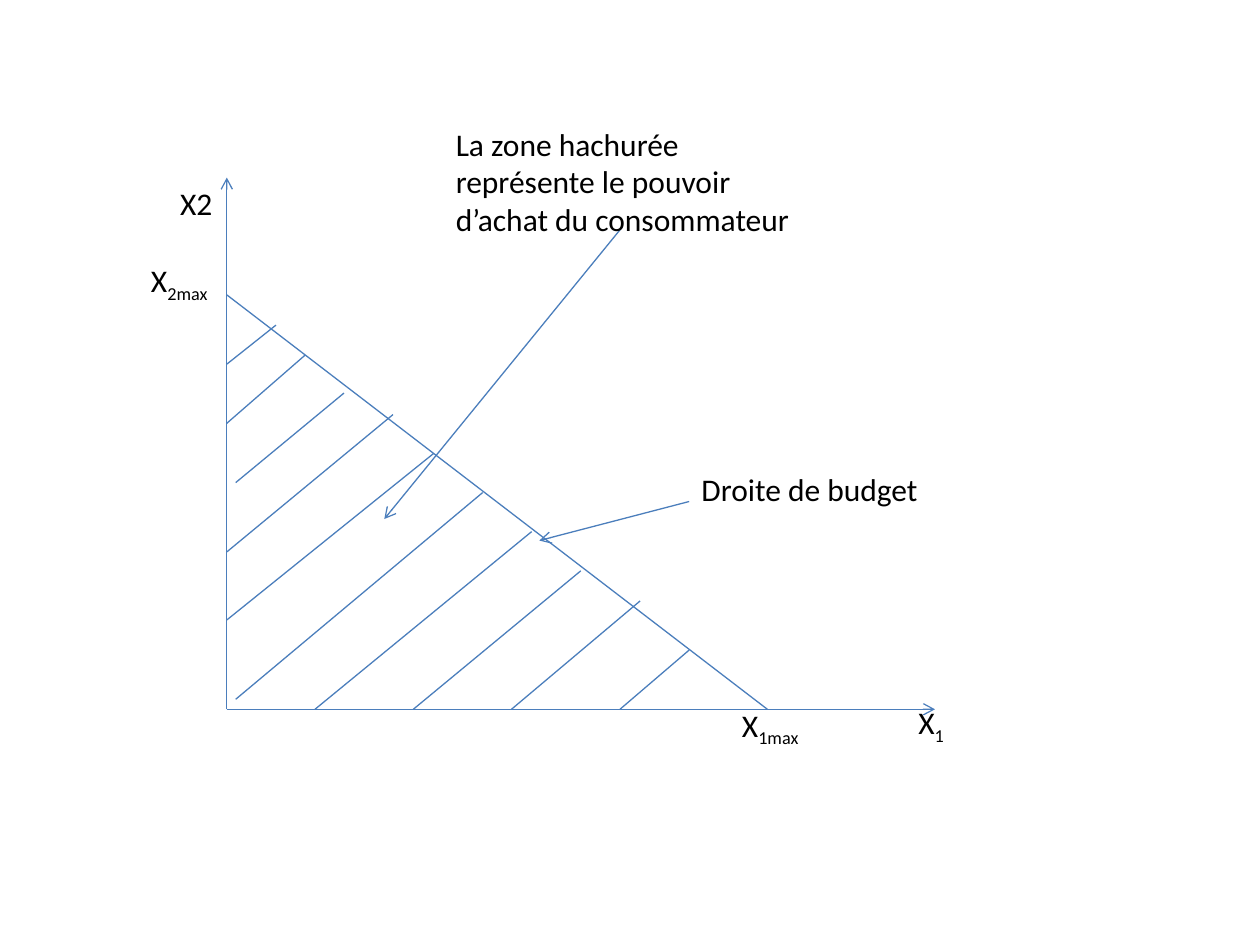
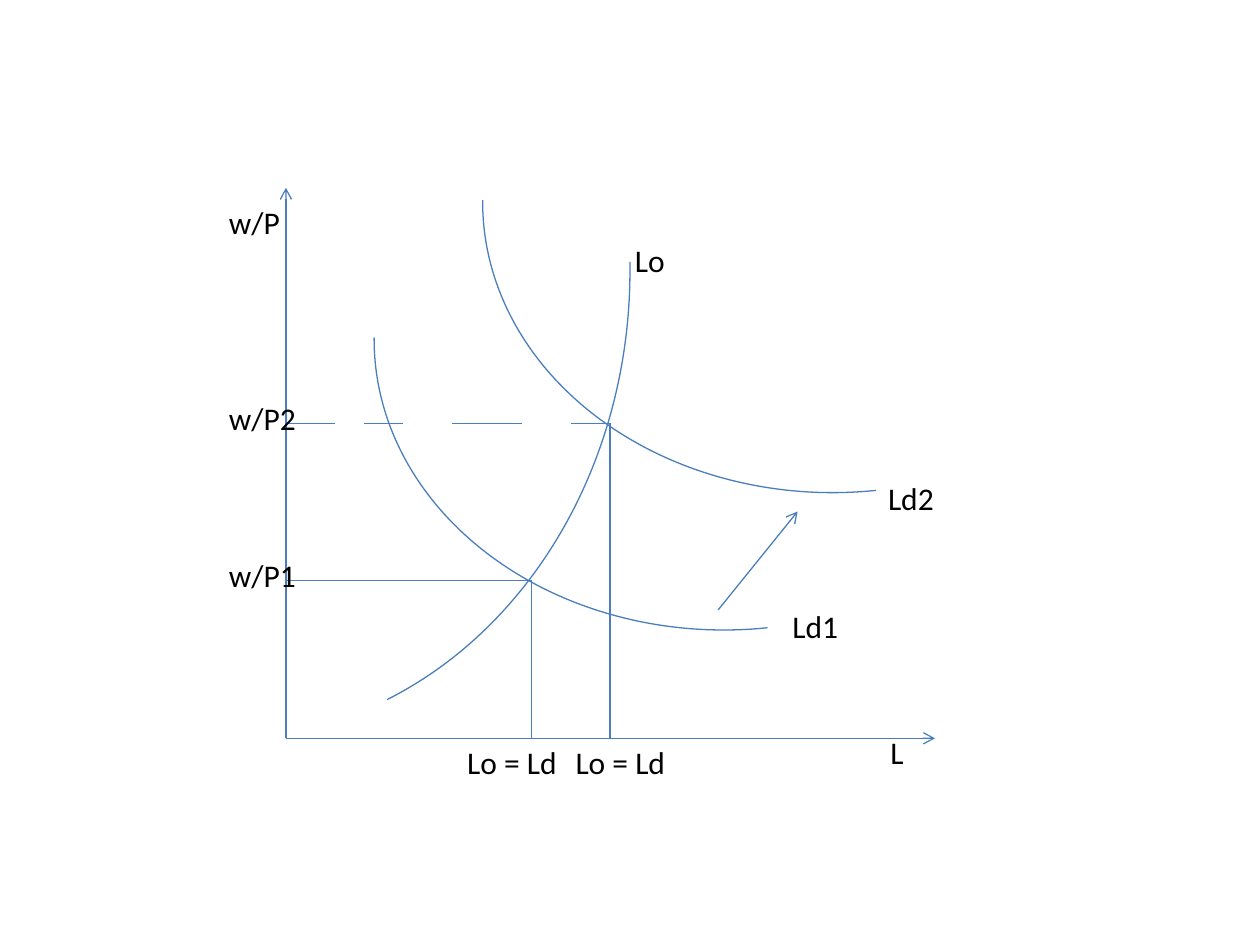
from lxml import etree
from pptx import Presentation
from pptx.dml.color import RGBColor
from pptx.enum.shapes import MSO_CONNECTOR, MSO_SHAPE
from pptx.enum.text import MSO_AUTO_SIZE
from pptx.oxml.ns import qn
from pptx.util import Pt

BLUE = RGBColor(0x4B, 0x7E, 0xBC)
BLACK = RGBColor(0, 0, 0)
FONT = "Calibri"
SIZE = Pt(18)
THIN = Pt(0.75)
STRAIGHT = MSO_CONNECTOR.STRAIGHT
ARC = MSO_SHAPE.ARC
GROW = MSO_AUTO_SIZE.SHAPE_TO_FIT_TEXT
ROW = 29


def line(slide, start, end, arrow=False):
    link = slide.shapes.add_connector(STRAIGHT, *map(Pt, start + end))
    link.line.color.rgb = BLUE
    link.line.width = THIN
    etree.SubElement(link._element.spPr, qn("a:effectLst"))
    if arrow:
        tip = etree.SubElement(link.line._get_or_add_ln(), qn("a:tailEnd"))
        tip.set("type", "arrow")


def axes(slide, base, top, right):
    x, y = base
    line(slide, base, (x, top), True)
    line(slide, base, (right, y), True)


def label(slide, text, left, top, width, sub="", height=ROW, wrap=True):
    box = slide.shapes.add_textbox(Pt(left), Pt(top), Pt(width), Pt(height))
    frame = box.text_frame
    frame.word_wrap = wrap
    frame.auto_size = GROW
    frame.text = text
    para = frame.paragraphs[0]
    if sub:
        run = para.add_run()
        run.text = sub
        run._r.get_or_add_rPr().set("baseline", "-25000")
    for run in para.runs:
        run.font.name = FONT
        run.font.size = SIZE
        run.font.color.rgb = BLACK


def curve(slide, left, top, width, height, start, end):
    arc = slide.shapes.add_shape(ARC, Pt(left), Pt(top), Pt(width), Pt(height))
    arc.shadow.inherit = False
    arc.fill.background()
    arc.line.color.rgb = BLUE
    arc.line.width = THIN
    arc.adjustments[0] = start * 0.6
    arc.adjustments[1] = end * 0.6


def budget(slide):
    left, floor = base = (129.6, 405.3)
    axes(slide, base, 101.5, 534.3)
    line(slide, (left, 168.5), (438.5, floor))
    label(slide, "X2", 95.8, 101.5, 33.1, wrap=False)
    for sub, x, y in (("2max", 79.2, 145.5), ("1max", 416.9, 399.6),
                      ("1", 517.7, 398.2)):
        label(slide, "X", x, y, 67, sub)

    hatch = (
        (left, 208.1, 157.7, 185.8),
        (left, 241.9, 174.3, 203),
        (134.7, 275.8, 196.6, 224.6),
        (left, 315.4, 224.6, 236.9),
        (left, 354.3, 247.7, 259.2),
        (134.7, 399.6, 275.8, 281.5),
        (180, floor, 303.8, 303.8),
        (236.2, floor, 331.9, 326.2),
        (292.3, floor, 365.8, 343.4),
        (354.3, floor, 393.8, 371.5),
    )
    for x, y, end, top in hatch:
        line(slide, (x, y), (end, top))

    line(slide, (355.7, 129.6), (219.6, 296.6), True)
    label(slide, "La zone hachurée représente le pouvoir d’achat du consommateur",
          253.4, 67.7, 213.8, height=72.7)
    line(slide, (393.8, 286.6), (308.2, 308.9), True)
    label(slide, "Droite de budget", 393.8, 265, 213.8)


def labour(slide):
    left, floor = base = (163.4, 421.9)
    high, low = 241.9, 331.9
    first, second = 303.8, 348.5
    axes(slide, base, 107.3, 534.3)

    for x, y in ((213.8, 28.1), (275.8, -50.4)):
        curve(slide, x, y, 399.6, 331.9, 81.37, 180.33)
    curve(slide, -101.5, -112.3, 461.5, 534.2, 358.73, 69.42)

    for x, end in ((left, 191.5), (208.1, 230.4), (258.5, 298.1),
                   (326.2, second)):
        line(slide, (x, high), (end, high))
    line(slide, (left, low), (first, low))
    line(slide, (first, low), (first, floor))
    line(slide, (second, high), (second, floor))
    line(slide, (410.4, 348.5), (455.8, 292.3), True)

    for text, x, y in (("w/P", 123.8, 112.3), ("w/P2", 123.8, 224.6),
                       ("w/P1", 123.8, 313.9), ("Lo", 355.7, 133.9),
                       ("Ld2", 500.4, 270), ("Ld1", 445.7, 343.4),
                       ("L", 501.8, 415.4)):
        label(slide, text, x, y, 55.4)
    for x, width in ((259.9, 72), (321.8, 77.8)):
        label(slide, "Lo = Ld", x, 421.2, width)


def main():
    deck = Presentation()
    deck.slide_width, deck.slide_height = Pt(720), Pt(540)
    for draw in (budget, labour):
        draw(deck.slides.add_slide(deck.slide_layouts[6]))
    deck.save("out.pptx")


if __name__ == "__main__":
    main()
